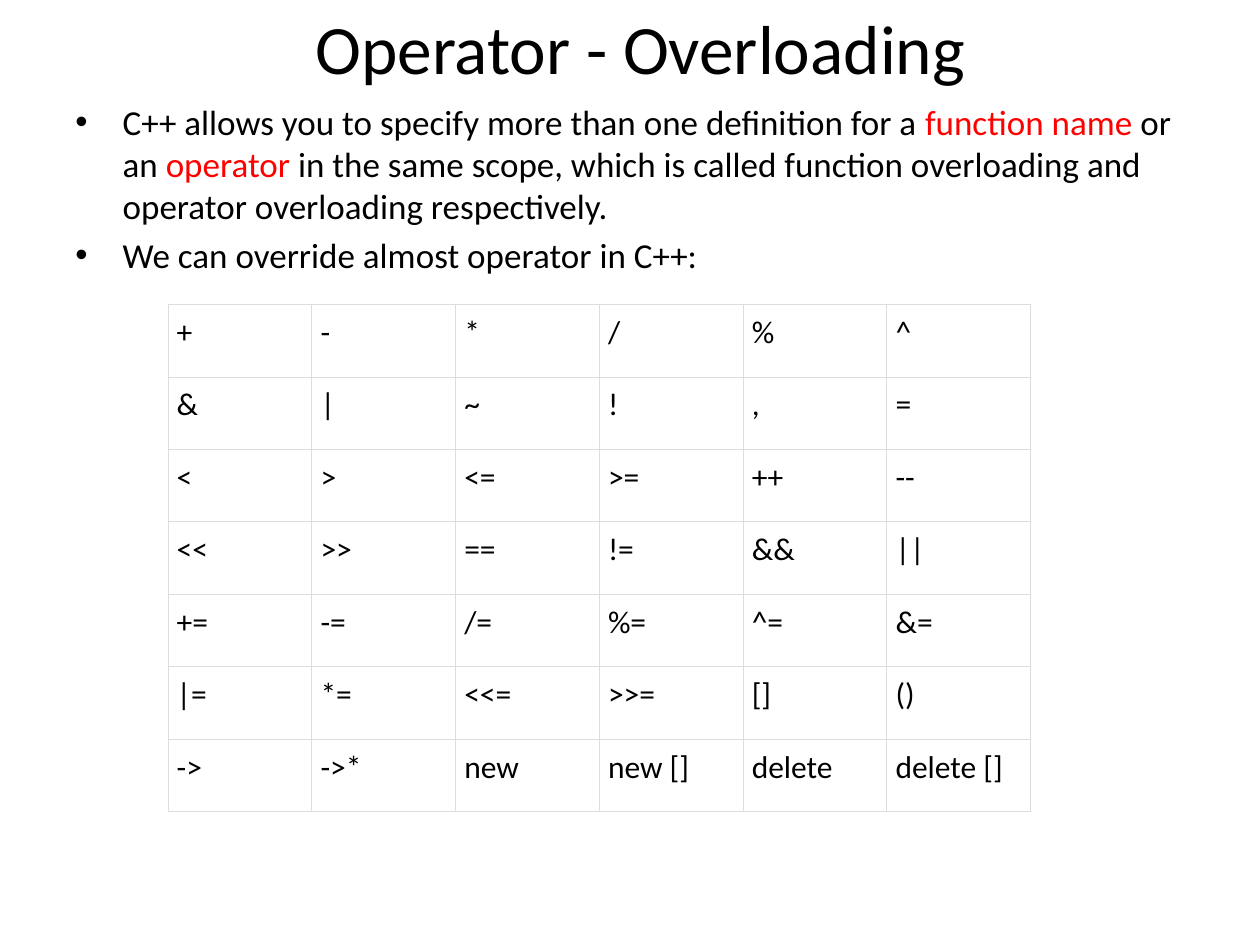
from lxml.etree import SubElement
from pptx import Presentation
from pptx.dml.color import RGBColor
from pptx.enum.text import MSO_ANCHOR, PP_ALIGN
from pptx.oxml.ns import qn
from pptx.util import Pt

BLACK = RGBColor(0x00, 0x00, 0x00)
RED = RGBColor(0xFF, 0x00, 0x00)
GRID_GREY = RGBColor(0xDD, 0xDD, 0xDD)

EXPLANATION = [
    [
        ("C++ allows you to specify more than one definition for a\u00a0", BLACK),
        ("function\u00a0name ", RED),
        ("or an ", BLACK),
        ("operator", RED),
        ("\u00a0in the same scope, which is called\u00a0function overloading\u00a0"
         "and operator overloading\u00a0respectively.", BLACK),
    ],
    [("We can override almost operator in C++:", BLACK)],
]

OPERATORS = [
    ["+", "-", "*", "/", "%", "^"],
    ["&", "|", "~", "!", ",", "="],
    ["<", ">", "<=", ">=", "++", "--"],
    ["<<", ">>", "==", "!=", "&&", "||"],
    ["+=", "-=", "/=", "%=", "^=", "&="],
    ["|=", "*=", "<<=", ">>=", "[]", "()"],
    ["->", "->*", "new", "new []", "delete", "delete []"],
]


class OverloadingSlide:
    """Holds the text style and the slide, and adds its elements."""

    font = "Calibri"

    def __init__(self, deck):
        self.slide = deck.slides.add_slide(deck.slide_layouts[5])

    def add_run(self, paragraph, text, size, colour=BLACK):
        run = paragraph.add_run()
        run.text = text
        run.font.name = self.font
        run.font.size = Pt(size)
        run.font.color.rgb = colour

    def title(self, text, left, top, width, height, size):
        heading = self.slide.shapes.title
        heading.left, heading.top = Pt(left), Pt(top)
        heading.width, heading.height = Pt(width), Pt(height)
        heading.text_frame.vertical_anchor = MSO_ANCHOR.MIDDLE
        paragraph = heading.text_frame.paragraphs[0]
        paragraph.alignment = PP_ALIGN.CENTER
        self.add_run(paragraph, text, size)

    def bullets(self, items, left, top, width, height, size, indent):
        box = self.slide.shapes.add_textbox(Pt(left), Pt(top), Pt(width), Pt(height))
        frame = box.text_frame
        frame.word_wrap = True
        for index, runs in enumerate(items):
            paragraph = frame.add_paragraph() if index else frame.paragraphs[0]
            paragraph.space_before = Pt(size * 0.2)
            properties = paragraph._p.get_or_add_pPr()
            properties.set("marL", str(Pt(indent)))
            properties.set("indent", str(-Pt(indent)))
            SubElement(properties, qn("a:buFont"), typeface="Arial")
            SubElement(properties, qn("a:buChar"), char="\u2022")
            for text, colour in runs:
                self.add_run(paragraph, text, size, colour)

    def border(self, cell, colour, width):
        properties = cell._tc.get_or_add_tcPr()
        for position, side in enumerate(("lnL", "lnR", "lnT", "lnB")):
            line = SubElement(properties, qn(f"a:{side}"), w=str(Pt(width)))
            fill = SubElement(line, qn("a:solidFill"))
            SubElement(fill, qn("a:srgbClr"), val=str(colour))
            properties.insert(position, line)

    def grid(self, rows, left, top, width, height, size, inset):
        frame = self.slide.shapes.add_table(
            len(rows), len(rows[0]), Pt(left), Pt(top), Pt(width), Pt(height))
        table = frame.table
        table.first_row = table.horz_banding = False
        for row, symbols in enumerate(rows):
            for column, symbol in enumerate(symbols):
                cell = table.cell(row, column)
                cell.margin_left = cell.margin_right = Pt(inset)
                cell.margin_top = cell.margin_bottom = Pt(inset)
                cell.fill.background()
                self.border(cell, GRID_GREY, 0.6)
                self.add_run(cell.text_frame.paragraphs[0], symbol, size)


deck = Presentation()
deck.slide_width, deck.slide_height = Pt(720), Pt(540)

overloading = OverloadingSlide(deck)
overloading.title("Operator - Overloading", 42, 1.5, 648, 50.5, size=39.6)
overloading.bullets(EXPLANATION, 36, 54, 648, 474, size=20, indent=27)
overloading.grid(OPERATORS, 96, 174, 493, 290, size=18, inset=5)

deck.save("out.pptx")
